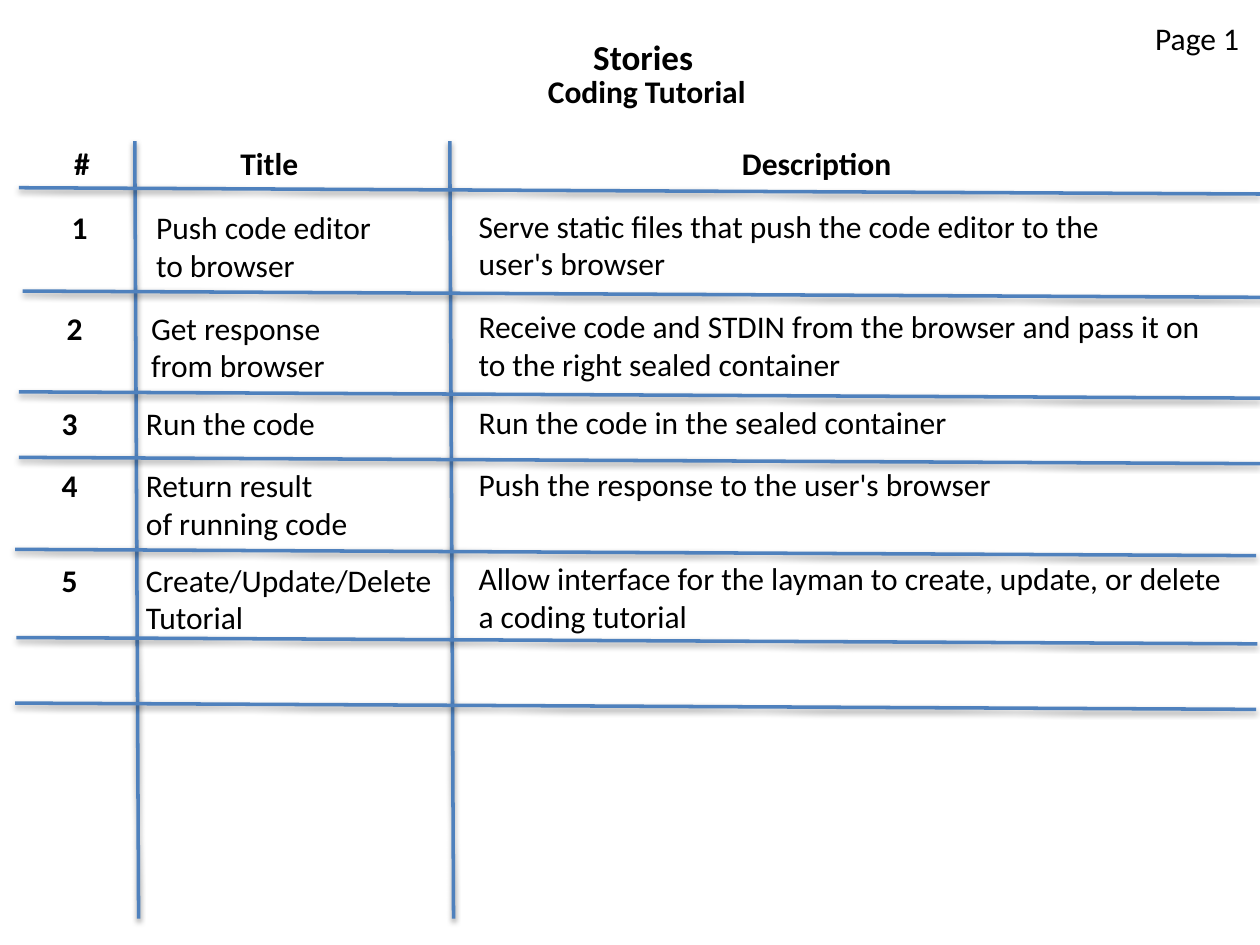
from dataclasses import dataclass

from lxml import etree
from pptx import Presentation
from pptx import util as u
from pptx.dml.color import RGBColor
from pptx.enum import shapes, text
from pptx.oxml import ns


@dataclass(frozen=True)
class Theme:
    font: str = "Calibri"
    ink: str = "000000"
    rule: str = "4F81BD"
    heading_size: int = 20
    body_size: int = 18
    rule_width: int = 2
    shadow_blur: float = 3.1
    shadow_distance: float = 1.6
    shadow_opacity: int = 38


def write_text(frame, content, *, font, size, color, bold=False):
    frame.text = content
    for paragraph in frame.paragraphs:
        for run in paragraph.runs:
            run.font.name = font
            run.font.size = u.Pt(size)
            run.font.bold = bold
            run.font.color.rgb = RGBColor.from_string(color)


class Board:
    def __init__(self, slide, theme):
        self.slide = slide
        self.theme = theme

    def label(self, content, left, top, width, height=0.4, size=None, bold=False):
        box = self.slide.shapes.add_textbox(
            *map(u.Inches, (left, top, width, height)))
        frame = box.text_frame
        frame.word_wrap = False
        frame.auto_size = text.MSO_AUTO_SIZE.SHAPE_TO_FIT_TEXT
        write_text(frame, content, font=self.theme.font,
                   size=size or self.theme.body_size,
                   color=self.theme.ink, bold=bold)

    def rule(self, left, top, run, drop):
        line = self.slide.shapes.add_connector(
            shapes.MSO_CONNECTOR.STRAIGHT,
            *map(u.Inches, (left, top, left + run, top + drop)))
        line.line.color.rgb = RGBColor.from_string(self.theme.rule)
        line.line.width = u.Pt(self.theme.rule_width)
        self.add_shadow(line)

    def add_shadow(self, line):
        effects = etree.SubElement(line._element.spPr, ns.qn("a:effectLst"))
        shadow = etree.SubElement(
            effects, ns.qn("a:outerShdw"),
            blurRad=str(u.Pt(self.theme.shadow_blur)),
            dist=str(u.Pt(self.theme.shadow_distance)),
            dir=str(90 * 60000), rotWithShape="0")
        color = etree.SubElement(shadow, ns.qn("a:srgbClr"), val=self.theme.ink)
        etree.SubElement(color, ns.qn("a:alpha"),
                         val=str(self.theme.shadow_opacity * 1000))


COLUMN_RULES = [1.07, 3.57]
ROW_RULES = [(0.15, 1.49), (0.18, 2.31), (0.15, 3.11), (0.15, 3.63),
             (0.12, 4.36), (0.13, 5.06), (0.12, 5.58)]
HEADERS = [("#", 0.49, 0.32), ("Title", 1.81, 0.66), ("Description", 5.79, 1.39)]
STORIES = [
    (0.47, 1.6, 1.98, "Push code editor\vto browser",
     "Serve static files that push the code editor to the\nuser's browser"),
    (0.43, 2.4, 1.98, "Get response\nfrom browser",
     "Receive code and STDIN from the browser and pass it on\n"
     "to the right sealed container"),
    (0.39, 3.16, 1.98, "Run the code", "Run the code in the sealed container"),
    (0.39, 3.65, 1.98, "Return result\vof running code",
     "Push the response to the user's browser"),
    (0.39, 4.4, 2.5, "Create/Update/Delete\nTutorial",
     "Allow interface for the layman to create, update, or delete\n"
     "a coding tutorial"),
]


def main():
    presentation = Presentation()
    presentation.slide_width = u.Inches(10)
    presentation.slide_height = u.Inches(7.5)
    slide = presentation.slides.add_slide(presentation.slide_layouts[6])
    theme = Theme()
    board = Board(slide, theme)

    board.label("Stories", 4.61, 0.23, 0.99, 0.43, theme.heading_size, bold=True)
    board.label("Coding Tutorial", 4.25, 0.52, 1.83, bold=True)
    board.label("Page 1", 9.07, 0.1, 0.9)

    for left in COLUMN_RULES:
        board.rule(left, 1.12, 0.03, 6.17)
    for left, top in ROW_RULES:
        board.rule(left, top, 9.85, 0.05)

    for header, left, width in HEADERS:
        board.label(header, left, 1.09, width, bold=True)
    for number, (left, top, width, title, description) in enumerate(STORIES, 1):
        board.label(str(number), left, top, 0.32, bold=True)
        board.label(title, left + 0.67, top, width)
        board.label(description, 3.7, top - 0.01, 6.1)

    presentation.save("out.pptx")


main()
